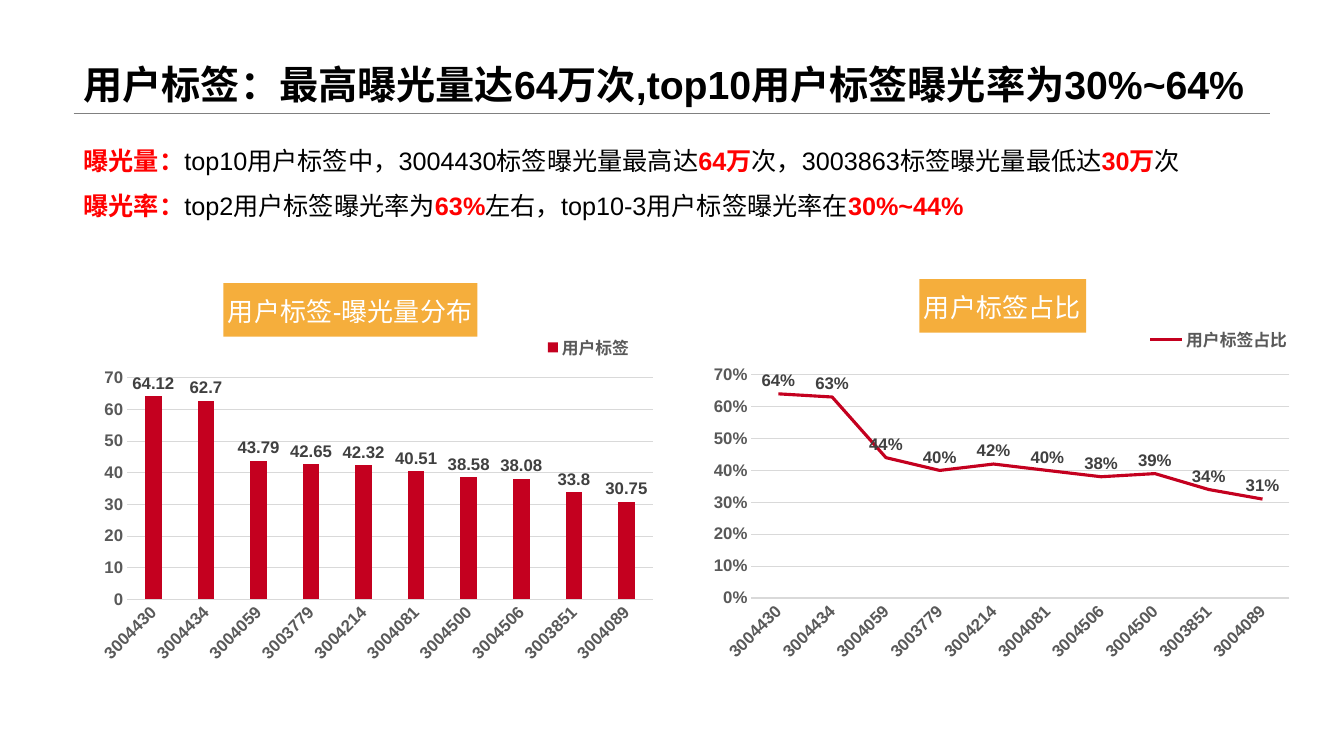
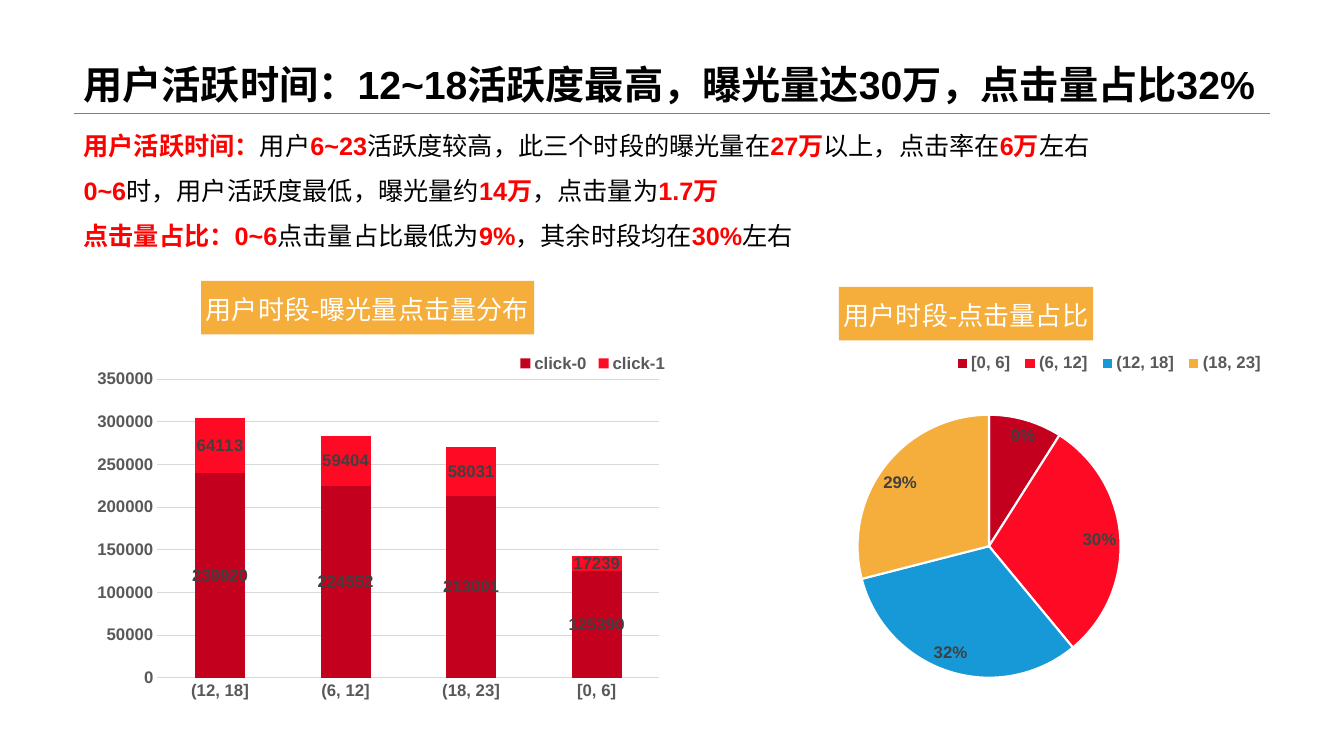
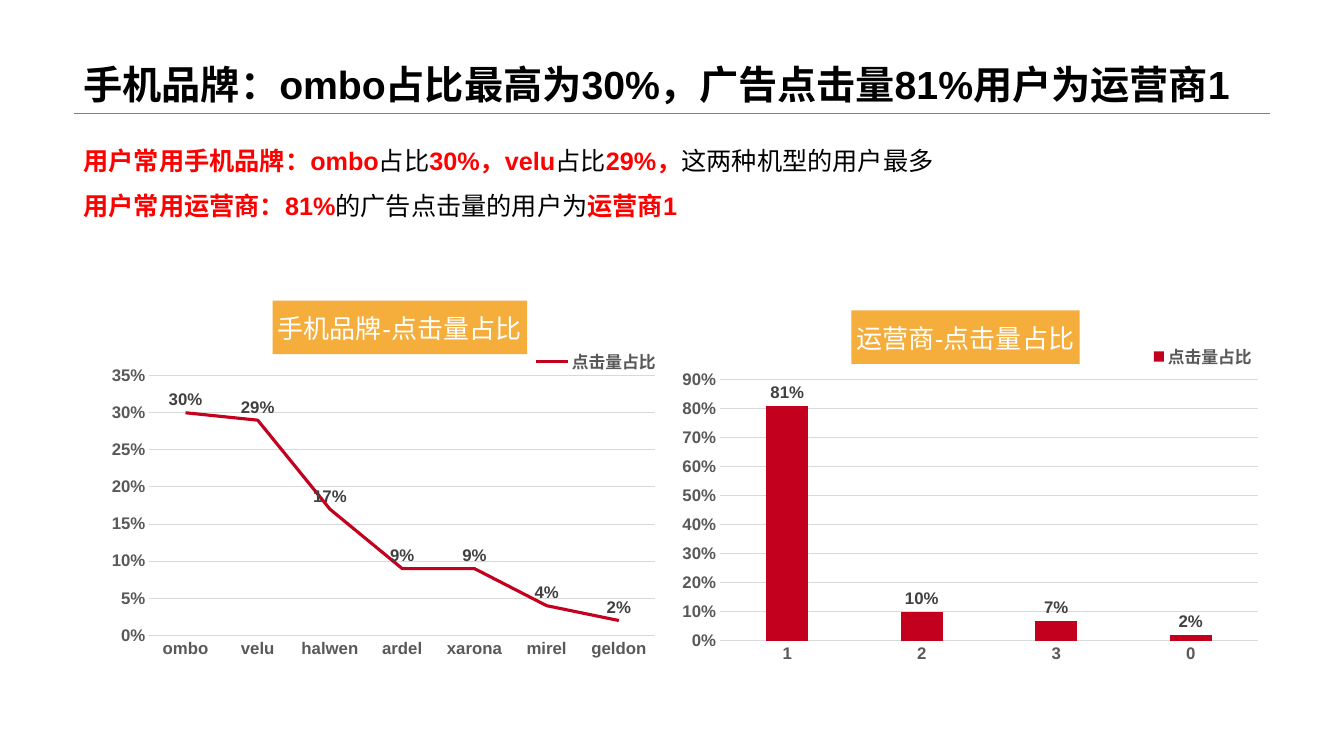
from lxml import etree
from pptx import Presentation
from pptx.chart.data import CategoryChartData
from pptx.dml.color import RGBColor
from pptx.enum import chart as ch, shapes, text
from pptx.oxml.ns import qn
from pptx.util import Pt

BLACK = RGBColor(0x00, 0x00, 0x00)
WHITE = RGBColor(0xFF, 0xFF, 0xFF)
RED = RGBColor(0xFF, 0x00, 0x00)
RULE_GREY = RGBColor(0x80, 0x80, 0x80)
GRID_GREY = RGBColor(0xD9, 0xD9, 0xD9)
AXIS_GREY = RGBColor(0x59, 0x59, 0x59)
LABEL_GREY = RGBColor(0x40, 0x40, 0x40)
ORANGE = RGBColor(0xF5, 0xAE, 0x3C)
SERIES_COLORS = [RGBColor(0xC4, 0x00, 0x1F), RGBColor(0xFF, 0x0A, 0x24),
                 RGBColor(0x18, 0x99, 0xD7), ORANGE]

FONT = "Arial"
LEFT, WIDTH, RULE_Y = 52.6, 854.6, 80.6
LEGEND_HEIGHT = 22
COLUMN, STACKED = ch.XL_CHART_TYPE.COLUMN_CLUSTERED, ch.XL_CHART_TYPE.COLUMN_STACKED
LINE, PIE = ch.XL_CHART_TYPE.LINE, ch.XL_CHART_TYPE.PIE
POS = ch.XL_LABEL_POSITION
LABEL_POSITION = {COLUMN: POS.OUTSIDE_END, STACKED: POS.CENTER,
                  LINE: POS.ABOVE, PIE: POS.BEST_FIT}
COLUMN_SPACING = {COLUMN: (219, -27), STACKED: (150, 100)}


def set_font(font, size, color, bold=True):
    values = {"name": FONT, "size": Pt(size), "bold": bold}
    for name, value in values.items():
        setattr(font, name, value)
    font.color.rgb = color


def add_text_box(s, top, height, anchor):
    tf = s.shapes.add_textbox(Pt(LEFT), Pt(top), Pt(WIDTH), Pt(height)).text_frame
    tf.word_wrap = True
    tf.vertical_anchor = anchor
    return tf


def add_header(s, title):
    rule = s.shapes.add_connector(shapes.MSO_CONNECTOR.STRAIGHT, Pt(LEFT), Pt(RULE_Y),
                                  Pt(LEFT + WIDTH), Pt(RULE_Y))
    rule.line.color.rgb = RULE_GREY
    rule.line.width = Pt(0.25)
    etree.SubElement(rule.element.spPr, qn("a:effectLst"))
    p = add_text_box(s, 0, RULE_Y, text.MSO_ANCHOR.BOTTOM).paragraphs[0]
    p.line_spacing = 0.9
    r = p.add_run()
    r.text = title
    set_font(r.font, 28, BLACK)


def add_findings(s, lines, first_spacing=1.5):
    """Writes one paragraph a line; parts between asterisks are bold red."""
    tf = add_text_box(s, 89.3, 7 + 33 * len(lines), text.MSO_ANCHOR.TOP)
    for i, line in enumerate(lines):
        p = tf.add_paragraph() if i else tf.paragraphs[0]
        p.line_spacing = 1.5 if i else first_spacing
        for j, part in enumerate(line.split("*")):
            if part:
                r = p.add_run()
                r.text = part
                strong = j % 2 == 1
                set_font(r.font, 18, RED if strong else BLACK, strong)


def set_layout(element, index, inner=False, **fractions):
    """Fixes a chart part at fractions (x, y, w, h) of the chart area."""
    for old in element.findall(qn("c:layout")):
        element.remove(old)
    layout = etree.Element(qn("c:layout"))
    element.insert(index, layout)
    manual = etree.SubElement(layout, qn("c:manualLayout"))
    values = {"layoutTarget": "inner"} if inner else {}
    values.update(xMode="edge", yMode="edge", **fractions)
    for name, value in values.items():
        etree.SubElement(manual, qn("c:" + name), val=str(value))


def style_axes(chart, fmt, slanted):
    for axis in (chart.category_axis, chart.value_axis):
        axis.major_tick_mark = axis.minor_tick_mark = ch.XL_TICK_MARK.NONE
        set_font(axis.tick_labels.font, 12, AXIS_GREY)
    grid = chart.value_axis.major_gridlines.format.line
    for line in (chart.category_axis.format.line, grid):
        line.color.rgb = GRID_GREY
        line.width = Pt(0.75)
    chart.value_axis.format.line.fill.background()
    chart.value_axis.tick_labels.number_format = fmt
    chart.value_axis.tick_labels.number_format_is_linked = False
    if slanted:
        body = chart.element.find(f".//{qn('c:catAx')}/{qn('c:txPr')}/{qn('a:bodyPr')}")
        body.set("rot", "-2700000")
        body.set("vert", "horz")


def style_series(plot, kind, fmt):
    for series, color in zip(plot.series, SERIES_COLORS):
        if kind == PIE:
            for i, point_color in enumerate(SERIES_COLORS):
                point = series.points[i].format
                point.fill.solid()
                point.fill.fore_color.rgb = point_color
                point.line.color.rgb = WHITE
                point.line.width = Pt(1.5)
        elif kind == LINE:
            series.smooth = False
            series.format.line.color.rgb = color
            series.format.line.width = Pt(2.25)
        else:
            series.format.fill.solid()
            series.format.fill.fore_color.rgb = color
        labels = series.data_labels
        set_font(labels.font, 12, LABEL_GREY)
        values = {"show_value": True, "position": LABEL_POSITION[kind],
                  "number_format": fmt, "number_format_is_linked": False}
        for name, value in values.items():
            setattr(labels, name, value)


def add_titled_chart(s, kind, box, title, tag, legend, plot_area, cats, series,
                     fmt="0%", slanted=False):
    """tag is the title's corner and legend its centre and width, from the box corner."""
    width, height = box[2:]
    data = CategoryChartData(number_format=fmt)
    data.categories = cats
    for name, values in series.items():
        data.add_series(name, values)
    chart = s.shapes.add_chart(kind, *map(Pt, box), data).chart
    set_font(chart.font, 10, BLACK, False)

    chart.has_title = True
    p = chart.chart_title.text_frame.paragraphs[0]
    r = p.add_run()
    r.text = title
    set_font(r.font, 18.6, WHITE, False)
    fill = chart.chart_title.format.fill
    fill.solid()
    fill.fore_color.rgb = ORANGE

    chart.has_legend = True
    chart.legend.position = ch.XL_LEGEND_POSITION.BOTTOM
    chart.legend.include_in_layout = False
    set_font(chart.legend.font, 12, AXIS_GREY)

    plot = chart.plots[0]
    plot.vary_by_categories = kind == PIE
    if kind in COLUMN_SPACING:
        plot.gap_width, plot.overlap = COLUMN_SPACING[kind]
    if kind != PIE:
        style_axes(chart, fmt, slanted)
    style_series(plot, kind, fmt)

    def part(name):
        return chart.element.find(f".//{qn('c:chart')}/{qn('c:' + name)}")

    set_layout(part("title"), 1, x=tag[0] / width, y=tag[1] / height)
    center_x, center_y, legend_width = legend
    set_layout(part("legend"), 1, x=(center_x - legend_width / 2) / width,
               y=(center_y - LEGEND_HEIGHT / 2) / height,
               w=legend_width / width, h=LEGEND_HEIGHT / height)
    set_layout(chart.element.find(f".//{qn('c:plotArea')}"), 0, True,
               **dict(zip("xywh", plot_area)))


def tags_slide(s):
    add_header(s, "用户标签：最高曝光量达64万次,top10用户标签曝光率为30%~64%")
    add_titled_chart(
        s, COLUMN, (39.6, 192.2, 427, 298.8), "用户标签-曝光量分布",
        (120, 10), (381, 56, 72), (0.12, 0.26, 0.88, 0.53),
        ["3004430", "3004434", "3004059", "3003779", "3004214",
         "3004081", "3004500", "3004506", "3003851", "3004089"],
        {"用户标签": [64.12, 62.7, 43.79, 42.65, 42.32, 40.51, 38.58, 38.08, 33.8, 30.75]},
        fmt="General", slanted=True)
    add_titled_chart(
        s, LINE, (502.6, 189.4, 427, 301), "用户标签占比",
        (154, 10), (368, 53, 111), (0.08, 0.26, 0.9, 0.53),
        ["3004430", "3004434", "3004059", "3003779", "3004214",
         "3004081", "3004506", "3004500", "3003851", "3004089"],
        {"用户标签占比": [0.64, 0.63, 0.44, 0.4, 0.42, 0.4, 0.38, 0.39, 0.34, 0.31]},
        slanted=True)
    add_findings(s, [
        "*曝光量：*top10用户标签中，3004430标签曝光量最高达*64万*次，"
        "3003863标签曝光量最低达*30万*次",
        "*曝光率：*top2用户标签曝光率为*63%*左右，top10-3用户标签曝光率在*30%~44%*"])


def hours_slide(s):
    add_header(s, "用户活跃时间：12~18活跃度最高，曝光量达30万，点击量占比32%")
    add_titled_chart(
        s, STACKED, (52.6, 190.1, 427, 323.3), "用户时段-曝光量点击量分布",
        (91, 10.5), (371, 69.5, 113), (0.14, 0.25, 0.84, 0.66),
        ["(12, 18]", "(6, 12]", "(18, 23]", "[0, 6]"],
        {"click-0": [239920, 224552, 213001, 125390],
         "click-1": [64113, 59404, 58031, 17239]}, fmt="General")
    add_findings(s, [
        "*用户活跃时间：*用户*6~23*活跃度较高，此三个时段的曝光量在*27万*以上，"
        "点击率在*6万*左右",
        "*0~6*时，用户活跃度最低，曝光量约*14万*，点击量为*1.7万*",
        "*点击量占比：0~6*点击量占比最低为*9%*，其余时段均在*30%*左右"], 1.0)
    add_titled_chart(
        s, PIE, (480.2, 194.4, 427, 306), "用户时段-点击量占比",
        (119, 10.5), (312, 65, 230), (0.31, 0.33, 0.44, 0.62),
        ["[0, 6]", "(6, 12]", "(12, 18]", "(18, 23]"],
        {"Series 1": [0.09, 0.3, 0.32, 0.29]})


def phones_slide(s):
    add_header(s, "手机品牌：ombo占比最高为30%，广告点击量81%用户为运营商1")
    add_titled_chart(
        s, LINE, (69.8, 213.8, 410.4, 272.9), "手机品牌-点击量占比",
        (125, 1), (356, 44.5, 100), (0.09, 0.2, 0.88, 0.68),
        ["ombo", "velu", "halwen", "ardel", "xarona", "mirel", "geldon"],
        {"点击量占比": [0.3, 0.29, 0.17, 0.09, 0.09, 0.04, 0.02]})
    add_titled_chart(
        s, COLUMN, (480.2, 211.7, 427, 296.6), "运营商-点击量占比",
        (128, 10), (379, 43, 83), (0.08, 0.2, 0.9, 0.63),
        ["1", "2", "3", "0"], {"点击量占比": [0.81, 0.1, 0.07, 0.02]})
    add_findings(s, [
        "*用户常用手机品牌：ombo*占比*30%，velu*占比*29%，*这两种机型的用户最多",
        "*用户常用运营商：81%*的广告点击量的用户为*运营商1*"])


def main():
    prs = Presentation()
    prs.slide_width, prs.slide_height = Pt(960), Pt(540)
    for build in (tags_slide, hours_slide, phones_slide):
        build(prs.slides.add_slide(prs.slide_layouts[6]))
    prs.save("out.pptx")


if __name__ == "__main__":
    main()
